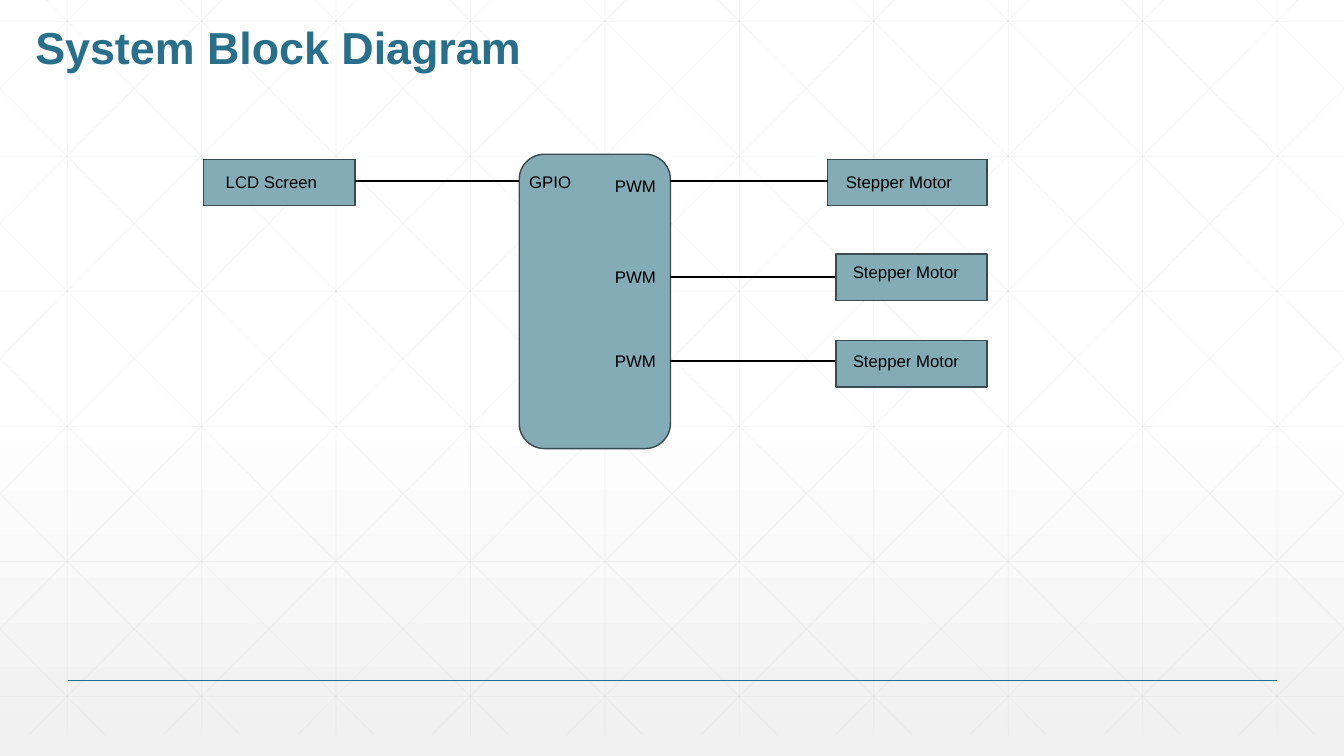
from copy import deepcopy

from lxml import etree
from pptx import Presentation
from pptx.dml.color import RGBColor
from pptx.enum.shapes import MSO_CONNECTOR, MSO_SHAPE
from pptx.enum.text import MSO_ANCHOR, MSO_AUTO_SIZE, PP_ALIGN
from pptx.oxml.ns import qn
from pptx.util import Inches, Pt

STRAIGHT = MSO_CONNECTOR.STRAIGHT
RECT = MSO_SHAPE.RECTANGLE
CONTROLLER = MSO_SHAPE.FLOWCHART_ALTERNATE_PROCESS
BOTTOM = MSO_ANCHOR.BOTTOM
LEFT = PP_ALIGN.LEFT
NO_FIT = MSO_AUTO_SIZE.NONE
GROW = MSO_AUTO_SIZE.SHAPE_TO_FIT_TEXT

WIDTH, HEIGHT = 13.33, 7.5
GRID_TOP, GRID_BOTTOM = -0.21, 7.29
STEP = 4 / 3
RUN = 7.46
SLOPE = (GRID_BOTTOM - GRID_TOP) / RUN


def rgb(value):
    return RGBColor.from_string(value)


def add_line(x1, y1, x2, y2, color, width, alpha=None):
    line = slide.shapes.add_connector(STRAIGHT, Inches(x1), Inches(y1), Inches(x2), Inches(y2))
    line.line.color.rgb = rgb(color)
    line.line.width = Pt(width)
    sp_pr = line._element.spPr
    if alpha:
        clr = sp_pr.find(".//" + qn("a:srgbClr"))
        etree.SubElement(clr, qn("a:alpha")).set("val", str(alpha * 1000))
    etree.SubElement(sp_pr, qn("a:effectLst"))


prs = Presentation()
prs.slide_width = Inches(WIDTH)
prs.slide_height = Inches(HEIGHT)
slide = prs.slides.add_slide(prs.slide_layouts[5])

fill = slide.background.fill
fill.gradient()
fill.gradient_angle = 270
stop_list = slide._element.find(".//" + qn("a:gsLst"))
stop_list.insert(0, deepcopy(stop_list[0]))
stops = [(0, "FFFFFF"), (0.53, "FFFFFF"), (1, "F0F0F0")]
for stop, (position, color) in zip(fill.gradient_stops, stops):
    stop.position = position
    stop.color.rgb = rgb(color)

grid = [((i + 0.5) * STEP, GRID_TOP, (i + 0.5) * STEP, GRID_BOTTOM) for i in range(10)]
grid += [(0, 0.21 + 1.34 * i, WIDTH, 0.21 + 1.34 * i) for i in range(6)]
for i in range(-5, 10):
    start = 0.25 + i * STEP
    x1, x2 = max(start, 0), min(start + RUN, WIDTH)
    y1, y2 = [GRID_TOP + (x - start) * SLOPE for x in (x1, x2)]
    grid += [(x1, y1, x2, y2), (WIDTH - x1, y1, WIDTH - x2, y2)]
for ends in grid:
    add_line(*ends, "D9D9D9", 0.5, 25)
add_line(0.67, 6.75, 12.67, 6.75, "276F8B", 1)

title = slide.shapes.title
slide.shapes._spTree.append(title._element)
title.left, title.top = Inches(0.25), Inches(-0.21)
title.width, title.height = Inches(12), Inches(1)
tf = title.text_frame
tf.text = "System Block Diagram"
tf.auto_size = NO_FIT
tf.vertical_anchor = BOTTOM
p = tf.paragraphs[0]
p.alignment = LEFT
p.line_spacing = 0.9
p.font.name = "Arial"
p.font.size = Pt(32)
p.font.bold = True
p.font.color.rgb = rgb("276F8B")

blocks = [
    (CONTROLLER, 5.15, 1.53, 1.5, 2.92),
    (RECT, 8.21, 1.58, 1.58, 0.46),
    (RECT, 8.29, 2.52, 1.5, 0.46),
    (RECT, 8.29, 3.38, 1.5, 0.46),
    (RECT, 2.02, 1.58, 1.5, 0.46),
]
for kind, *box in blocks:
    sp = slide.shapes.add_shape(kind, *map(Inches, box))
    sp.shadow.inherit = False
    sp.fill.solid()
    sp.fill.fore_color.rgb = rgb("84ACB6")
    sp.line.color.rgb = rgb("3A4B50")
    sp.line.width = Pt(1)

wires = [(3.52, 5.15, 1.8), (6.65, 8.21, 1.8), (6.65, 8.28, 2.75), (6.65, 8.28, 3.58)]
for x1, x2, y in wires:
    add_line(x1, y, x2, y, "000000", 1.5)

labels = [
    ("PWM", 6, 1.69, 1.04),
    ("PWM", 6, 2.6, 1.04),
    ("PWM", 6, 3.43, 1.04),
    ("GPIO", 5.15, 1.65, 1.04),
    ("LCD Screen", 2.14, 1.65, 1.15),
    ("Stepper Motor", 8.29, 1.65, 1.35),
    ("Stepper Motor", 8.36, 2.55, 1.35),
    ("Stepper Motor", 8.36, 3.43, 1.35),
]
for text, left, top, width in labels:
    sp = slide.shapes.add_textbox(Inches(left), Inches(top), Inches(width), Inches(0.3))
    tf = sp.text_frame
    tf.word_wrap = True
    tf.auto_size = GROW
    tf.text = text
    p = tf.paragraphs[0]
    p.font.name = "Arial"
    p.font.size = Pt(12)
    p.font.color.rgb = rgb("000000")

prs.save("out.pptx")
